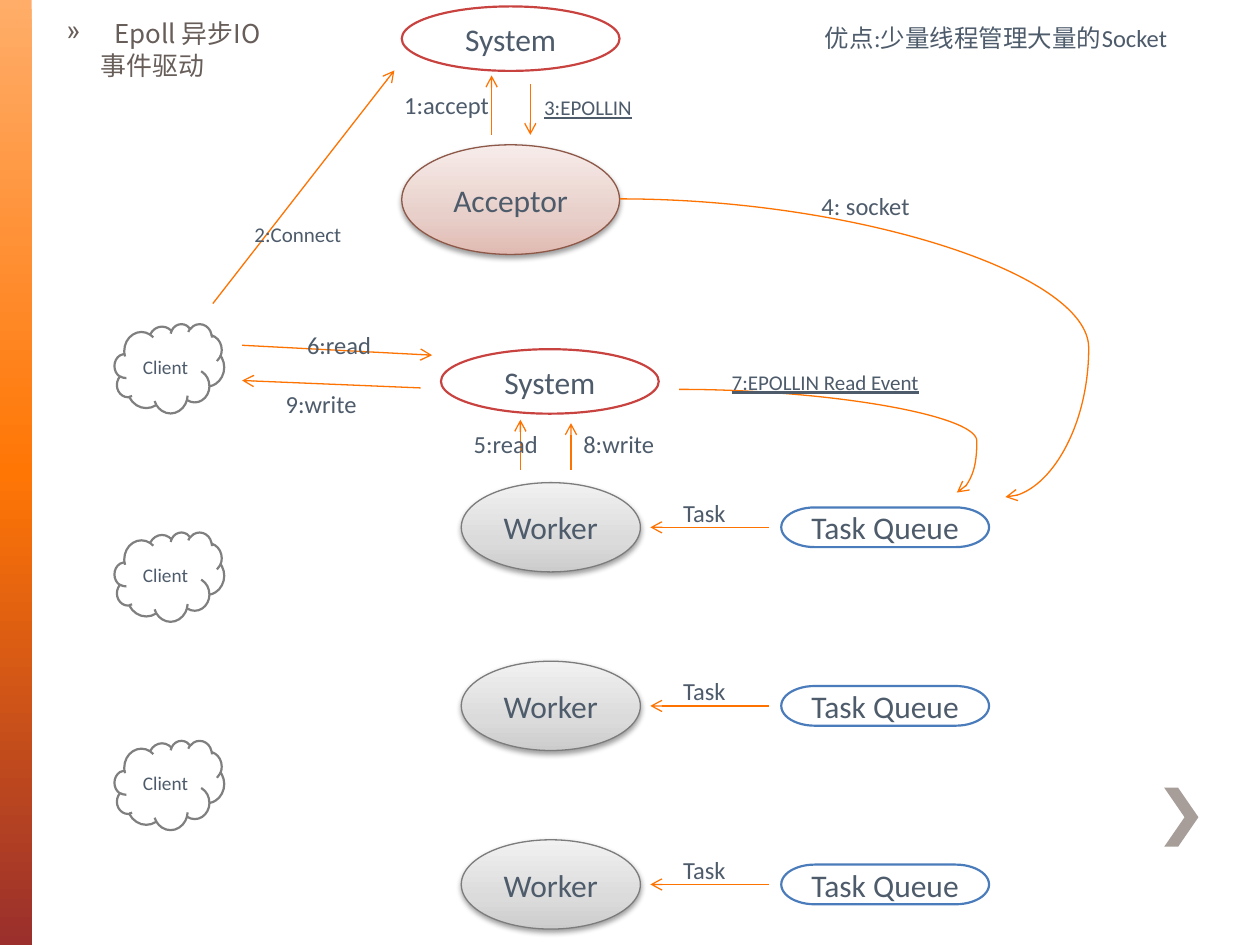
from collections import namedtuple

from lxml.etree import SubElement
from pptx import Presentation
from pptx.dml.color import RGBColor
from pptx.enum.shapes import MSO_CONNECTOR, MSO_SHAPE
from pptx.enum.text import MSO_ANCHOR, PP_ALIGN
from pptx.oxml.ns import qn
from pptx.util import Cm, Pt

Box = namedtuple("Box", "left top width height")
INK, ORANGE, WHITE = "4D5B6B", "FE7300", "FFFFFF"
CJK_FONT = "Noto Sans CJK SC"
GREY_STOPS = [(0, "CCCCCC"), (35, "DBDBDB"), (100, "F1F1F1")]
ROSE_STOPS = [(0, "E0BAB2"), (35, "E8CFC9"), (100, "F7ECEA")]
BAR_STOPS = [(0, "FFAD69"), (50, "FF7605"), (100, "9A2F2C")]
NO_MARGINS = {f"margin_{side}": 0 for side in ("left", "right", "top", "bottom")}


def color(value):
    return RGBColor.from_string(value)


def set_all(target, values):
    for name, value in values.items():
        setattr(target, name, value)


def inside(box, left, top, width, height):
    return Box(box.left + left, box.top + top, width, height)


def lengths(box):
    return [Cm(value) for value in box]


def write(para, text, size, font=("Calibri", INK), underline=None):
    span = para.add_run()
    span.text = text
    name, ink = font
    set_all(span.font, {"name": name, "size": Pt(size), "underline": underline})
    span.font.color.rgb = color(ink)
    SubElement(span._r.get_or_add_rPr(), qn("a:ea"), typeface=CJK_FONT)


def paint(shape, fill, angle=90):
    if isinstance(fill, str):
        shape.fill.solid()
        shape.fill.fore_color.rgb = color(fill)
        return
    shape.fill.gradient()
    shape.fill.gradient_angle = angle
    stops = shape._element.spPr.find(qn("a:gradFill")).find(qn("a:gsLst"))
    stops.clear()
    for position, value in fill:
        stop = SubElement(stops, qn("a:gs"), pos=str(position * 1000))
        SubElement(stop, qn("a:srgbClr"), val=value)


def add_shadow(shape):
    effects = shape._element.spPr.find(qn("a:effectLst"))
    outer = SubElement(effects, qn("a:outerShdw"), blurRad="40000", dist="20000",
                       dir="5400000", rotWithShape="0")
    black = SubElement(outer, qn("a:srgbClr"), val="000000")
    SubElement(black, qn("a:alpha"), val="38000")


def add_node(page, kind, box, text, fill, line, width=1.25, size=18):
    shape = page.shapes.add_shape(kind, *lengths(box))
    shape.shadow.inherit = False
    paint(shape, fill)
    shape.line.color.rgb = color(line)
    shape.line.width = Pt(width)
    if fill != WHITE:
        add_shadow(shape)
    frame = shape.text_frame
    set_all(frame, {"word_wrap": False, "vertical_anchor": MSO_ANCHOR.MIDDLE, **NO_MARGINS})
    para = frame.paragraphs[0]
    para.alignment = PP_ALIGN.CENTER
    write(para, text, size)


def add_system(page, box):
    add_node(page, MSO_SHAPE.OVAL, box, "System", WHITE, "C84340")


def add_label(page, box, text, size=14, underline=None):
    frame = page.shapes.add_textbox(*lengths(box)).text_frame
    frame.word_wrap = not underline
    write(frame.paragraphs[0], text, size, underline=underline)


def add_arrow(page, box, start, end, bend=None):
    kind = MSO_CONNECTOR.CURVE if bend else MSO_CONNECTOR.STRAIGHT
    points = [Cm(corner + offset) for point in (start, end)
              for corner, offset in zip(box[:2], point)]
    arrow = page.shapes.add_connector(kind, *points)
    arrow.line.color.rgb = color(ORANGE)
    arrow.line.width = Pt(0.75)
    properties = arrow._element.spPr
    SubElement(properties.find(qn("a:ln")), qn("a:tailEnd"), type="arrow")
    SubElement(properties, qn("a:effectLst"))
    if bend:
        guides = properties.find(qn("a:prstGeom")).find(qn("a:avLst"))
        SubElement(guides, qn("a:gd"), name="adj1", fmla=f"val {round(bend * 100000)}")


def add_side_bar(page, box):
    bar = page.shapes.add_shape(MSO_SHAPE.RECTANGLE, *lengths(box))
    bar.shadow.inherit = False
    paint(bar, BAR_STOPS, 270)
    bar.line.fill.background()


def add_chevron(page, box):
    right, middle, bottom = box.left + box.width, box.top + box.height / 2, box.top + box.height
    inner, notch = box.left + 0.28, box.left + 0.41
    outline = [(box.left, box.top), (notch, middle), (box.left, bottom),
               (inner, bottom), (right, middle), (inner, box.top)]
    points = [(Cm(x), Cm(y)) for x, y in outline]
    builder = page.shapes.build_freeform(*points[0])
    builder.add_line_segments(points[1:], close=True)
    chevron = builder.convert_to_shape()
    chevron.shadow.inherit = False
    paint(chevron, "A79D99")
    chevron.line.fill.background()


def add_heading(page, box):
    frame = page.shapes.add_textbox(*lengths(box)).text_frame
    frame.word_wrap = True
    first, second = frame.paragraphs[0], frame.add_paragraph()
    for para, text, margin, indent in ((first, "Epoll 异步IO", 0.97, -0.97),
                                       (second, "事件驱动", 0.69, 0)):
        set_all(para, {"space_before": Pt(3), "line_spacing": 0.85})
        properties = para._p.get_or_add_pPr()
        properties.set("marL", str(Cm(margin)))
        properties.set("indent", str(Cm(indent)))
        write(para, text, 14.8, (CJK_FONT, "675D59"))
    SubElement(first._p.get_or_add_pPr(), qn("a:buChar"), char="»")


def add_accept_stage(page, box):
    add_system(page, inside(box, 0, 0, box.width, 1.3))
    add_node(page, MSO_SHAPE.OVAL, inside(box, 0, 2.79, box.width, 2.21), "Acceptor",
             ROSE_STOPS, "8E5848", 0.75)
    add_arrow(page, box, (1.81, 2.59), (1.81, 1.39))
    add_arrow(page, box, (2.59, 1.57), (2.59, 2.59))
    add_label(page, inside(box, -0.2, 1.57, 2.39, 0.86), "1:accept")
    add_label(page, inside(box, 2.62, 1.65, 2.31, 0.76), "3:EPOLLIN", 12, True)


def add_read_stage(page, box):
    add_system(page, inside(box, 0, 0, box.width, 1.3))
    for x, tip, label_left, text in ((1.6, 1.42, 0.41, "5:read"), (2.62, 1.49, 2.62, "8:write")):
        add_arrow(page, box, (x, box.height), (x, tip))
        add_label(page, inside(box, label_left, 1.49, 2.01, 0.86), text)


def add_connect(page, box):
    add_arrow(page, box, (0, box.height), (box.width, 0))
    add_label(page, inside(box, 0.59, 2.92, 3, 0.76), "2:Connect", 12)


def add_client_exchange(page, box):
    add_arrow(page, box, (0, 0.43), (box.width, 0.63))
    add_label(page, inside(box, 1.06, 0, 2.95, 0.86), "6:read")
    add_arrow(page, box, (3.6, 1.29), (0, 1.14))
    add_label(page, inside(box, 0.63, 1.19, 2.62, 0.86), "9:write")


def add_queue_feed(page, box, bend, label, text, size=14, underline=None):
    add_arrow(page, box, (0, 0), (box.width, box.height), bend)
    add_label(page, inside(box, *label), text, size, underline)


def add_worker_row(page, box):
    middle = box.height / 2
    add_node(page, MSO_SHAPE.OVAL, inside(box, 0, 0, 3.61, box.height), "Worker",
             GREY_STOPS, "7C7C7C", 0.75)
    add_node(page, MSO_SHAPE.FLOWCHART_TERMINATOR, inside(box, 6.45, middle - 0.4, 4.19, 0.8),
             "Task Queue", WHITE, "4A7CBB")
    add_arrow(page, box, (6.2, middle), (3.81, middle))
    add_label(page, inside(box, 4.22, 0.18, 1.8, 0.86), "Task")


def add_clients(page, box):
    for index in range(3):
        add_node(page, MSO_SHAPE.CLOUD, inside(box, 0, index * 4.2, box.width, 1.8), "Client",
                 WHITE, "7F7F7F", size=11)


def main():
    deck = Presentation()
    set_all(deck, {"slide_width": Cm(25.4), "slide_height": Cm(19.05)})
    page = deck.slides.add_slide(deck.slide_layouts[6])
    add_side_bar(page, Box(0, 0, 0.64, 19.05))
    add_chevron(page, Box(23.47, 15.88, 0.69, 1.19))
    add_heading(page, Box(1.09, 0.33, 5.89, 1.4))
    add_connect(page, Box(4.29, 1.42, 3.66, 4.7))
    add_accept_stage(page, Box(8.1, 0.13, 4.39, 5))
    for row in range(3):
        add_worker_row(page, Box(9.3, 9.73 + row * 3.6, 10.64, 1.8))
    add_queue_feed(page, Box(12.5, 4.01, 7.77, 6.01), 1.216, (3.81, -0.28, 2.39, 0.86), "4: socket")
    add_client_exchange(page, Box(4.88, 6.53, 3.83, 2.06))
    add_read_stage(page, Box(8.89, 7.04, 4.39, 2.43))
    add_queue_feed(page, Box(13.69, 7.85, 5.6, 2.08), 1.072, (0.81, -0.53, 4.32, 0.76),
                   "7:EPOLLIN Read Event", 12, True)
    add_label(page, Box(16.38, 0.33, 8.51, 0.86), "优点:少量线程管理大量的Socket")
    add_clients(page, Box(2.31, 6.53, 2.21, 10.2))
    deck.save("out.pptx")


if __name__ == "__main__":
    main()
